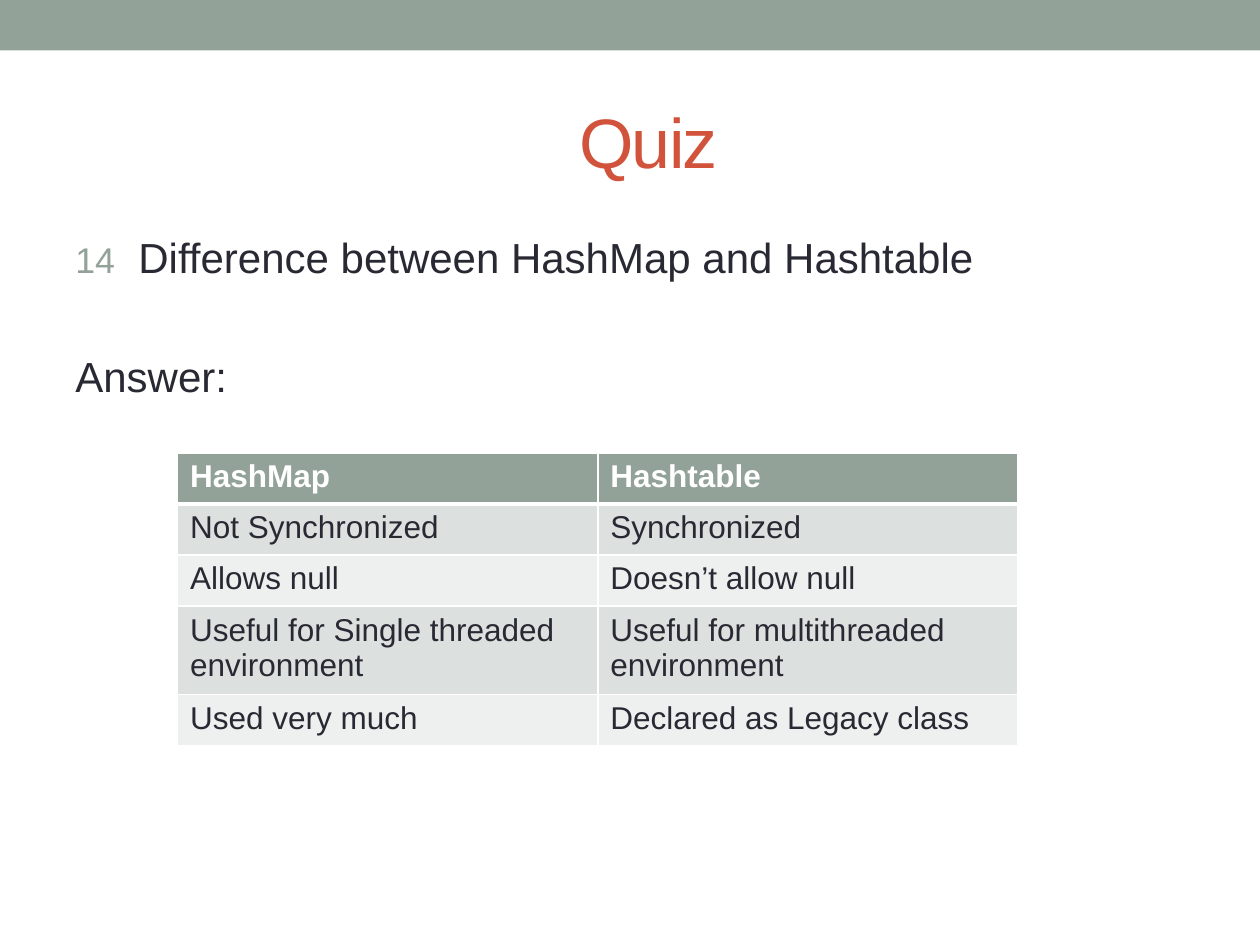
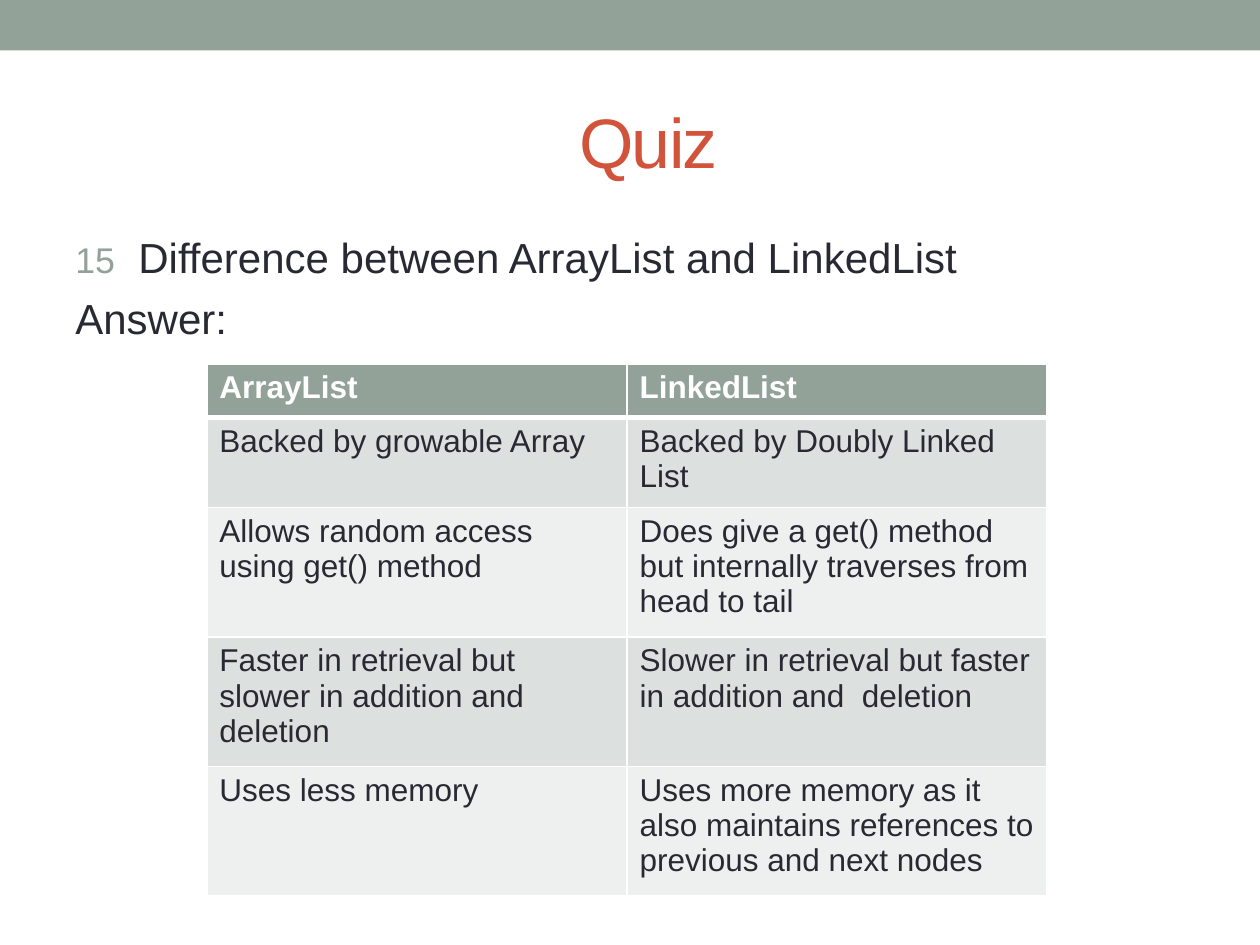
from lxml.etree import SubElement
from pptx import Presentation
from pptx.dml.color import RGBColor
from pptx.enum.shapes import MSO_SHAPE
from pptx.enum.text import MSO_ANCHOR
from pptx.oxml.ns import qn
from pptx.util import Cm, Pt

SAGE, RUST, INK, WHITE = "93A299", "D2533C", "292934", "FFFFFF"
BANDS = ("DCE0DE", "EEF0EF")
FONT = "Arial"


def colour(value):
    """Turn a hex string into a colour."""
    return RGBColor.from_string(value)


class QuizDeck:
    """Holds the quiz style and the current slide."""

    def __init__(self):
        """Start an empty 4:3 presentation."""
        self.presentation = Presentation()
        self.presentation.slide_width = Cm(25.4)
        self.presentation.slide_height = Cm(19.05)
        self.slide = None

    def new_slide(self):
        """Add a blank slide with the top band and the title."""
        self.slide = self.presentation.slides.add_slide(self.presentation.slide_layouts[6])
        self.band()
        self.title("Quiz")

    def band(self):
        """Draw the band along the top edge."""
        band = self.slide.shapes.add_shape(
            MSO_SHAPE.RECTANGLE, 0, 0, self.presentation.slide_width, Cm(1.02))
        band.shadow.inherit = False
        band.fill.solid()
        band.fill.fore_color.rgb = colour(SAGE)
        band.line.fill.background()

    def text_frame(self, top, height):
        """Add a wrapping text box over the content width."""
        frame = self.slide.shapes.add_textbox(Cm(1.27), Cm(top), Cm(22.86), Cm(height)).text_frame
        frame.word_wrap = True
        return frame

    def run(self, paragraph, text, size, ink=INK, bold=False):
        """Add one styled run to a paragraph."""
        run = paragraph.add_run()
        run.text = text
        run.font.name = FONT
        run.font.size = Pt(size)
        run.font.bold = bold
        run.font.color.rgb = colour(ink)
        return run

    def indent(self, paragraph, left, first=0):
        """Set the left margin and first-line indent of a paragraph."""
        properties = paragraph._p.get_or_add_pPr()
        properties.set("marL", str(Cm(left)))
        properties.set("indent", str(Cm(first)))
        return properties

    def title(self, text):
        """Write the slide title."""
        frame = self.text_frame(1.47, 2.74)
        frame.vertical_anchor = MSO_ANCHOR.MIDDLE
        heading = frame.paragraphs[0]
        self.indent(heading, 10.16)
        letters = self.run(heading, text, 40, RUST)
        letters.font._element.set("spc", "-100")

    def question(self, number, text, answer_gap):
        """Write the numbered question and the answer label below it."""
        frame = self.text_frame(4.45, 13.54)
        frame.margin_top = Cm(0.21)
        question = frame.paragraphs[0]
        properties = self.indent(question, 1.27, -1.27)
        bullet_colour = SubElement(properties, qn("a:buClr"))
        SubElement(bullet_colour, qn("a:srgbClr"), val=SAGE)
        SubElement(properties, qn("a:buSzPct"), val="85000")
        SubElement(properties, qn("a:buFont"), typeface=FONT)
        SubElement(properties, qn("a:buAutoNum"), type="arabicPlain", startAt=str(number))
        self.run(question, text, 24)

        answer = frame.add_paragraph()
        self.indent(answer, 1.27, -1.27)
        answer.space_before = Pt(answer_gap)
        self.run(answer, "Answer:", 24)

    def borders(self, cell, top, bottom):
        """Draw white borders, with widths in points, around a cell."""
        properties = cell._tc.get_or_add_tcPr()
        for side, width in (("L", 1), ("R", 1), ("T", top), ("B", bottom)):
            line = SubElement(properties, qn(f"a:ln{side}"), w=str(Pt(width)))
            fill = SubElement(line, qn("a:solidFill"))
            SubElement(fill, qn("a:srgbClr"), val=WHITE)

    def comparison(self, left, top, heights, rows):
        """Add a two-column comparison with a header row."""
        table = self.slide.shapes.add_table(
            len(rows), 2, Cm(left), Cm(top), Cm(16.94), Cm(sum(heights))).table
        table.horz_banding = False
        for column in table.columns:
            column.width = Cm(8.47)
        for index, (height, texts) in enumerate(zip(heights, rows)):
            header = index == 0
            table.rows[index].height = Cm(height)
            for cell, text in zip(table.rows[index].cells, texts):
                self.borders(cell, 3 if index == 1 else 1, 3 if header else 1)
                cell.fill.solid()
                cell.fill.fore_color.rgb = colour(SAGE if header else BANDS[(index - 1) % 2])
                self.run(cell.text_frame.paragraphs[0], text, 18,
                         WHITE if header else INK, header)


def main():
    """Build both quiz slides."""
    deck = QuizDeck()

    deck.new_slide()
    deck.question(14, "Difference between HashMap and Hashtable", 39.6)
    deck.comparison(3.58, 9.13, (1.03, 1.03, 1.03, 1.67, 1.03), (
        ("HashMap", "Hashtable"),
        ("Not Synchronized", "Synchronized"),
        ("Allows null", "Doesn’t allow null"),
        ("Useful for Single threaded environment", "Useful for multithreaded environment"),
        ("Used very much", "Declared as Legacy class"),
    ))

    deck.new_slide()
    deck.question(15, "Difference between ArrayList and LinkedList", 6)
    deck.comparison(4.17, 7.34, (1.07, 1.82, 2.61, 2.61, 2.61), (
        ("ArrayList", "LinkedList"),
        ("Backed by growable Array", "Backed by Doubly Linked List"),
        ("Allows random access using get() method",
         "Does give a get() method but internally traverses from head to tail"),
        ("Faster in retrieval but slower in addition and deletion",
         "Slower in retrieval but faster in addition and  deletion"),
        ("Uses less memory",
         "Uses more memory as it also maintains references to previous and next nodes"),
    ))

    deck.presentation.save("out.pptx")


if __name__ == "__main__":
    main()
